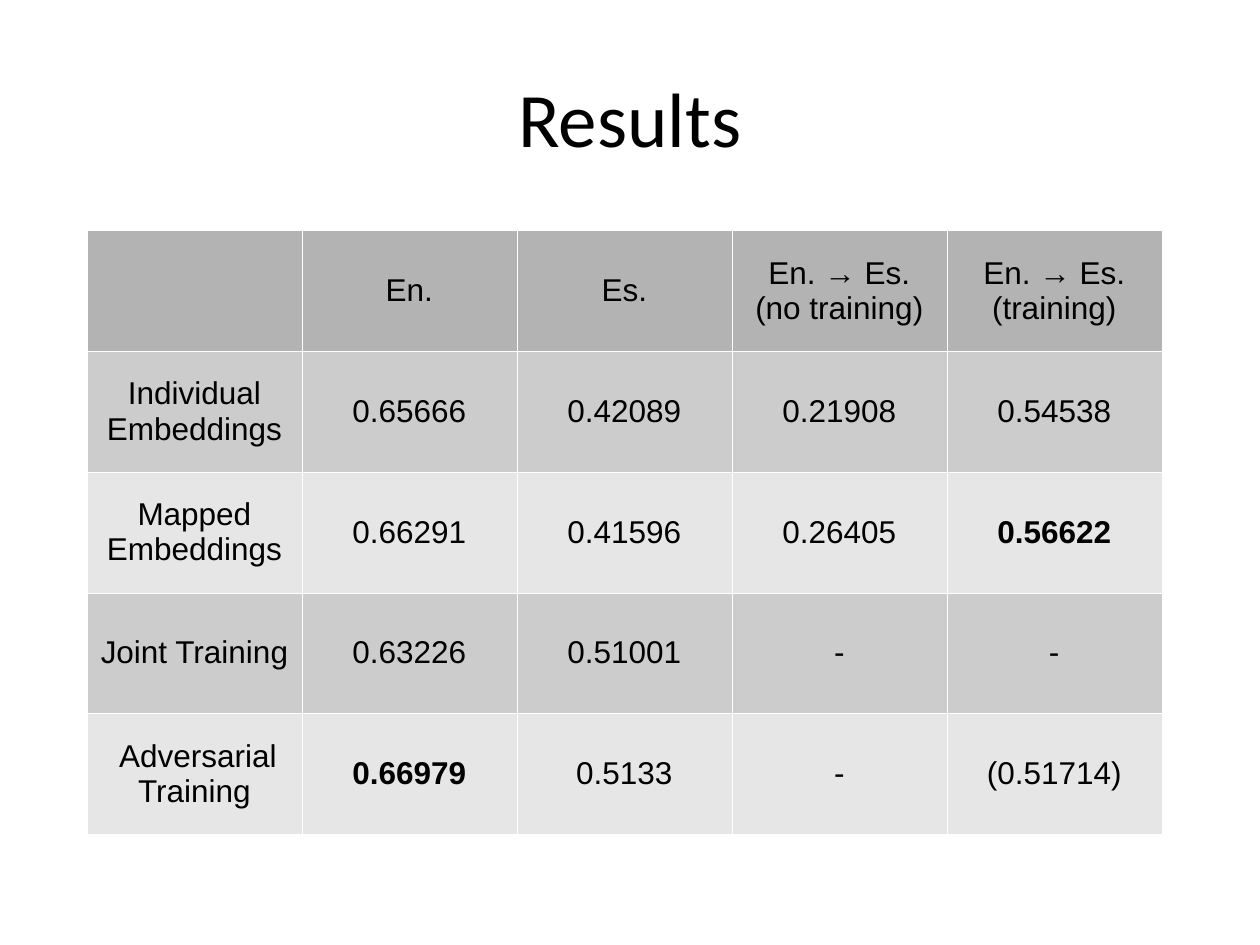
"""Build the results slide: a title above a table of scores."""
from dataclasses import dataclass

from lxml.etree import SubElement
from pptx import Presentation
from pptx.dml.color import RGBColor
from pptx.enum.text import MSO_ANCHOR as Anchor, PP_ALIGN as Align
from pptx.oxml.ns import qn
from pptx.slide import Slide
from pptx.table import _Cell as Cell
from pptx.text.text import TextFrame
from pptx.util import Inches, Pt

BLACK = RGBColor(0x00, 0x00, 0x00)
WHITE = RGBColor(0xFF, 0xFF, 0xFF)
HEADER_GREY = RGBColor(0xB3, 0xB3, 0xB3)
BAND_GREYS = (RGBColor(0xCC, 0xCC, 0xCC), RGBColor(0xE6, 0xE6, 0xE6))

COLUMN_WIDTH = Inches(1.706)
ROW_HEIGHT = Inches(0.958)
BORDER_WIDTH = Pt(0.06)


@dataclass(frozen=True)
class TableRow:
    texts: tuple[str, ...]
    bold_column: int | None = None


ROWS = (
    TableRow(("", "En.", "Es.", "En. → Es. (no training)", "En. → Es.\n(training)")),
    TableRow(("Individual\nEmbeddings", "0.65666", "0.42089", "0.21908", "0.54538")),
    TableRow(("Mapped\nEmbeddings", "0.66291", "0.41596", "0.26405", "0.56622"), 4),
    TableRow(("Joint Training", "0.63226", "0.51001", "-", "-")),
    TableRow((" Adversarial Training", "0.66979", "0.5133", "-", "(0.51714)"), 1),
)


def write_text(frame: TextFrame, text: str, font: str, size: int, bold: bool = False) -> None:
    frame.text = text
    for paragraph in frame.paragraphs:
        paragraph.alignment = Align.CENTER
        paragraph.font.name = font
        paragraph.font.size = Pt(size)
        paragraph.font.bold = bold
        paragraph.font.color.rgb = BLACK


def add_borders(cell: Cell) -> None:
    properties = cell._tc.get_or_add_tcPr()
    for side in ("a:lnL", "a:lnR", "a:lnT", "a:lnB"):
        line = SubElement(properties, qn(side), w=str(BORDER_WIDTH))
        SubElement(SubElement(line, qn("a:solidFill")), qn("a:srgbClr"), val=str(WHITE))


def add_title(slide: Slide, text: str) -> None:
    title = slide.shapes.add_textbox(Inches(0.5), Inches(0.3), Inches(9), Inches(1.25))
    title.text_frame.word_wrap = True
    title.text_frame.vertical_anchor = Anchor.MIDDLE
    write_text(title.text_frame, text, "Calibri", 44)


def add_results_table(slide: Slide, rows: tuple[TableRow, ...]) -> None:
    column_count = len(rows[0].texts)
    table = slide.shapes.add_table(
        len(rows), column_count, Inches(0.69), Inches(1.83),
        COLUMN_WIDTH * column_count, ROW_HEIGHT * len(rows),
    ).table
    table.first_row = table.horz_banding = False
    for column in table.columns:
        column.width = COLUMN_WIDTH
    for row_index, row in enumerate(rows):
        table.rows[row_index].height = ROW_HEIGHT
        colour = BAND_GREYS[(row_index - 1) % 2] if row_index else HEADER_GREY
        for column_index, text in enumerate(row.texts):
            cell = table.cell(row_index, column_index)
            cell.vertical_anchor = Anchor.MIDDLE
            write_text(cell.text_frame, text, "Arial", 18, column_index == row.bold_column)
            add_borders(cell)
            cell.fill.solid()
            cell.fill.fore_color.rgb = colour


def main() -> None:
    presentation = Presentation()
    presentation.slide_width = Inches(10)
    presentation.slide_height = Inches(7.5)
    slide = presentation.slides.add_slide(presentation.slide_layouts[6])
    add_title(slide, "Results")
    add_results_table(slide, ROWS)
    presentation.save("out.pptx")


if __name__ == "__main__":
    main()
